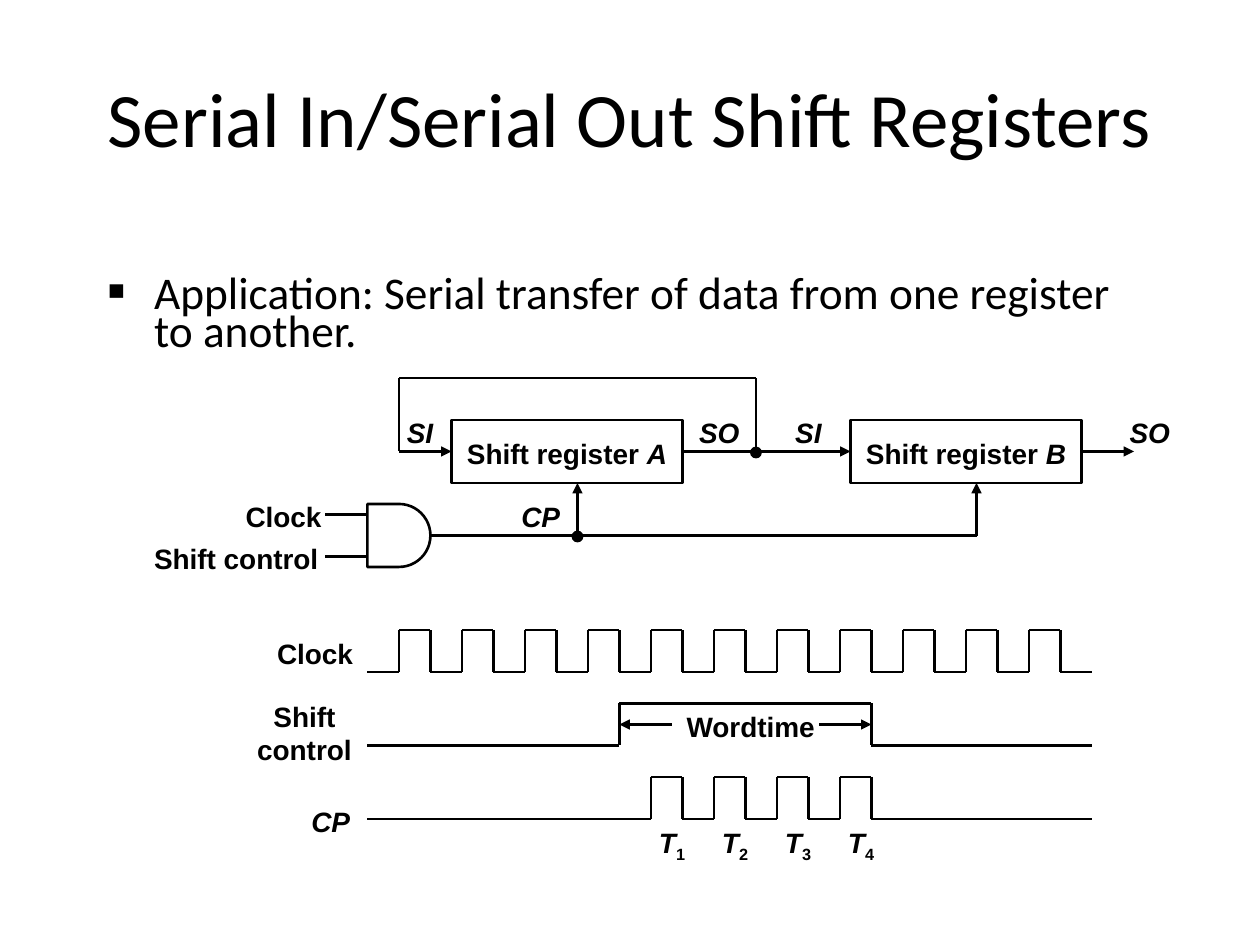
from itertools import pairwise

from lxml.etree import SubElement
from pptx import Presentation
from pptx.dml.color import RGBColor
from pptx.enum.shapes import MSO_CONNECTOR as Line, MSO_SHAPE as Shape
from pptx.enum.text import MSO_ANCHOR as Anchor, MSO_AUTO_SIZE as Fit, PP_ALIGN as Align
from pptx.oxml.ns import qn
from pptx.util import Emu, Pt

BLACK = RGBColor(0, 0, 0)
PX = 7620  # 120 px to the inch
RIGHT, LEFT = 3, 1
ITALIC = {"italic": True}


def px(*lengths):
    return [Emu(length * PX) for length in lengths]


class Diagram:
    label_font = {"name": "Arial", "size": Pt(16), "bold": True}
    heading_font = {"name": "Calibri", "size": Pt(44)}
    body_font = {"name": "Calibri", "size": Pt(25.9)}

    def __init__(self, slide):
        self.slide = slide
        self.shapes = slide.shapes

    def add_run(self, paragraph, text, style):
        run = paragraph.add_run()
        run.text = text
        run.font.color.rgb = BLACK
        for name, value in style.items():
            setattr(run.font, name, value)
        return run

    def title(self, text, *box):
        heading = self.shapes.title
        heading.left, heading.top, heading.width, heading.height = px(*box)
        frame = heading.text_frame
        frame.word_wrap, frame.auto_size = True, Fit.NONE
        frame.vertical_anchor = Anchor.MIDDLE
        frame.paragraphs[0].alignment = Align.CENTER
        self.add_run(frame.paragraphs[0], text, self.heading_font)

    def bullet(self, text, *box):
        frame = self.shapes.add_textbox(*px(*box)).text_frame
        frame.word_wrap = True
        paragraph = frame.paragraphs[0]
        paragraph.line_spacing = 0.7
        properties = paragraph._p.get_or_add_pPr()
        properties.set("marL", str(45 * PX))
        properties.set("indent", str(-45 * PX))
        for tag, key, value in (("a:buSzPct", "val", "120000"),
                                ("a:buFont", "typeface", "Arial"),
                                ("a:buChar", "char", "▪")):
            SubElement(properties, qn(tag)).set(key, value)
        self.add_run(paragraph, text, self.body_font)

    def label(self, text, left, top, width, height=44, italic=False, subscript=""):
        frame = self.shapes.add_textbox(*px(left, top, width, height)).text_frame
        frame.word_wrap, frame.auto_size = True, Fit.SHAPE_TO_FIT_TEXT
        paragraph = frame.paragraphs[0]
        paragraph.alignment = Align.CENTER
        self.add_run(paragraph, text, self.label_font | {"italic": italic})
        if subscript:
            run = self.add_run(paragraph, subscript, self.label_font)
            run._r.get_or_add_rPr().set("baseline", "-25000")

    def outline(self, kind, *box):
        shape = self.shapes.add_shape(kind, *px(*box))
        shape.shadow.inherit = False
        shape.fill.background()
        shape.line.color.rgb, shape.line.width = BLACK, Pt(1.5)
        return shape

    def register(self, letter, left, top):
        box = self.outline(Shape.RECTANGLE, left, top, 220, 60)
        frame = box.text_frame
        frame.word_wrap, frame.vertical_anchor = True, Anchor.MIDDLE
        frame.margin_top, frame.margin_bottom = px(10, 6)
        paragraph = frame.paragraphs[0]
        paragraph.alignment = Align.CENTER
        self.add_run(paragraph, "Shift register ", self.label_font)
        self.add_run(paragraph, letter, self.label_font | ITALIC)
        return box

    def junction(self, left, top):
        dot = self.outline(Shape.OVAL, left, top, 10, 10)
        dot.fill.solid()
        dot.fill.fore_color.rgb = BLACK
        dot.line.width = Pt(0.75)

    def wire(self, start, end, arrow=False, source=None, target=None):
        """Draw one line; source and target are (shape, side) pairs to join."""
        wire = self.shapes.add_connector(Line.STRAIGHT, *px(*start, *end))
        wire.line.color.rgb, wire.line.width = BLACK, Pt(1.25)
        if arrow:
            SubElement(wire.line._get_or_add_ln(), qn("a:tailEnd")).set("type", "triangle")
        SubElement(wire._element.spPr, qn("a:effectLst"))
        if source:
            wire.begin_connect(*source)
        if target:
            wire.end_connect(*target)

    def trace(self, *points):
        for start, end in pairwise(points):
            self.wire(start, end)

    def waveform(self, low, high, rises, width, start=350, end=1040):
        """Draw a signal that goes high for width px at each of the rises."""
        points = [(start, low)]
        for rise in rises:
            fall = rise + width
            points += [(rise, low), (rise, high), (fall, high), (fall, low)]
        self.trace(*points, (end, low))


def draw_circuit(diagram):
    register_a = diagram.register("A", 430, 400)
    register_b = diagram.register("B", 810, 400)
    gate = diagram.outline(Shape.FLOWCHART_DELAY, 350, 480, 60, 60)

    diagram.wire((650, 430), (810, 430), True, (register_a, RIGHT), (register_b, LEFT))
    diagram.wire((870, 430), (1080, 430), True, source=(register_b, RIGHT))
    diagram.wire((380, 430), (430, 430), True, target=(register_a, LEFT))
    diagram.trace((720, 430), (720, 360), (380, 360), (380, 430))
    diagram.junction(715, 426)

    for clock_input in (550, 930):
        diagram.wire((clock_input, 510), (clock_input, 460), True)
    diagram.wire((930, 510), (410, 510), target=(gate, RIGHT))
    diagram.junction(545, 506)
    for gate_input in (490, 530):
        diagram.wire((350, gate_input), (310, gate_input))

    for pin, left, width in (("SI", 370, 60), ("SO", 650, 70), ("SI", 740, 60), ("SO", 1060, 70)):
        diagram.label(pin, left, 390, width, italic=True)
    diagram.label("CP", 480, 470, 70, italic=True)
    diagram.label("Clock", 220, 470, 100)
    diagram.label("Shift control", 130, 510, 190)


def draw_timing(diagram):
    period, pulse = 60, 30
    word_rises = range(620, 860, period)
    diagram.waveform(640, 600, range(380, 1040, period), pulse)
    diagram.waveform(710, 670, [590], 240)
    diagram.waveform(780, 740, word_rises, pulse)
    diagram.wire((640, 690), (590, 690), True)
    diagram.wire((780, 690), (830, 690), True)

    diagram.label("Wordtime", 620, 670, 190)
    for number, rise in enumerate(word_rises, 1):
        diagram.label("T", rise - 10, 780, 60, italic=True, subscript=str(number))
    diagram.label("CP", 280, 760, 70, italic=True)
    diagram.label("Clock", 250, 600, 100)
    diagram.label("Shift control", 230, 660, 120, 77)


def main():
    deck = Presentation()
    deck.slide_width, deck.slide_height = px(1200, 900)
    diagram = Diagram(deck.slides.add_slide(deck.slide_layouts[5]))
    diagram.title("Serial In/Serial Out Shift Registers", 60, 36, 1080, 150)
    diagram.bullet("Application: Serial transfer of data from one register to another.",
                   90, 260, 1010, 91)
    draw_circuit(diagram)
    draw_timing(diagram)
    deck.save("out.pptx")


if __name__ == "__main__":
    main()
